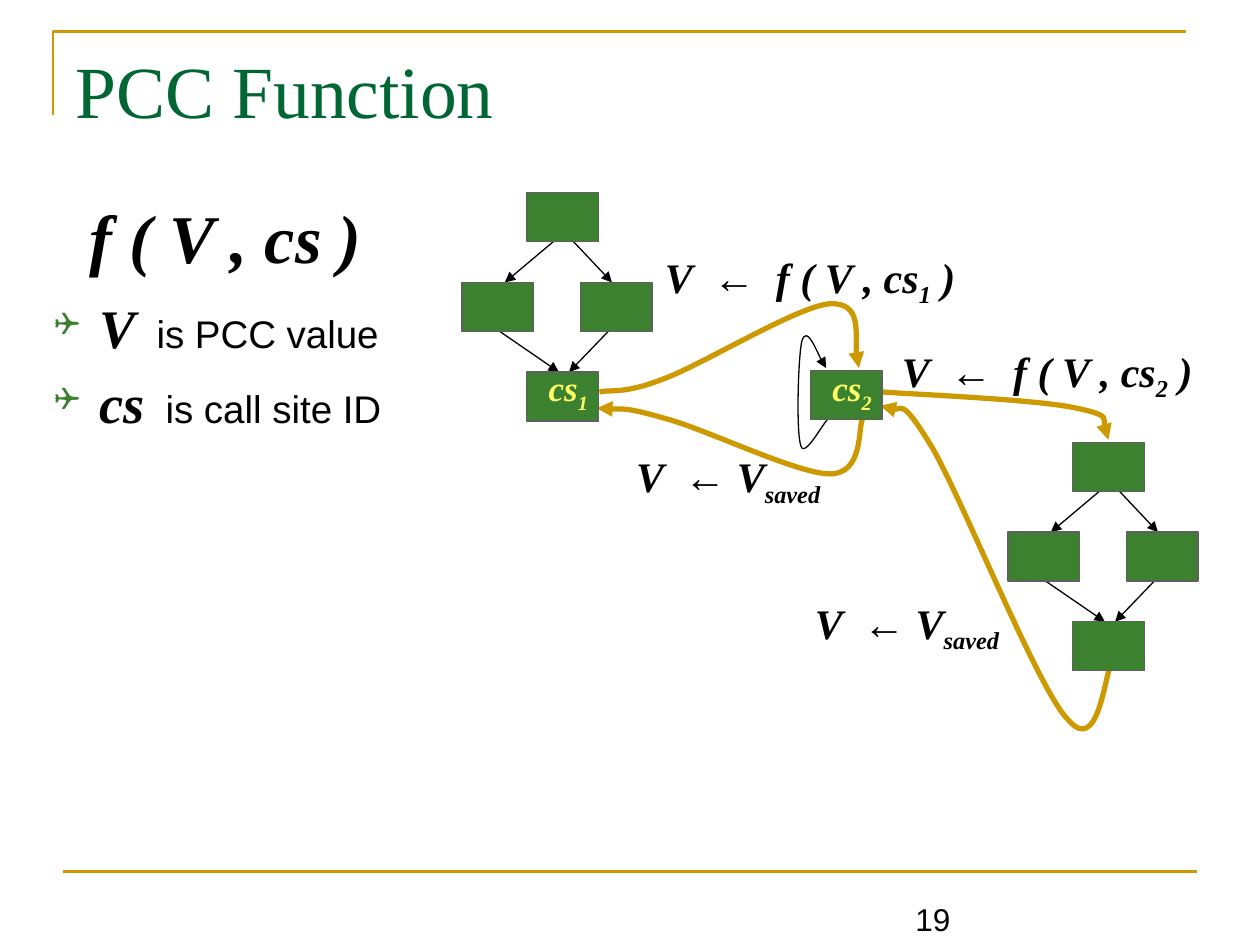
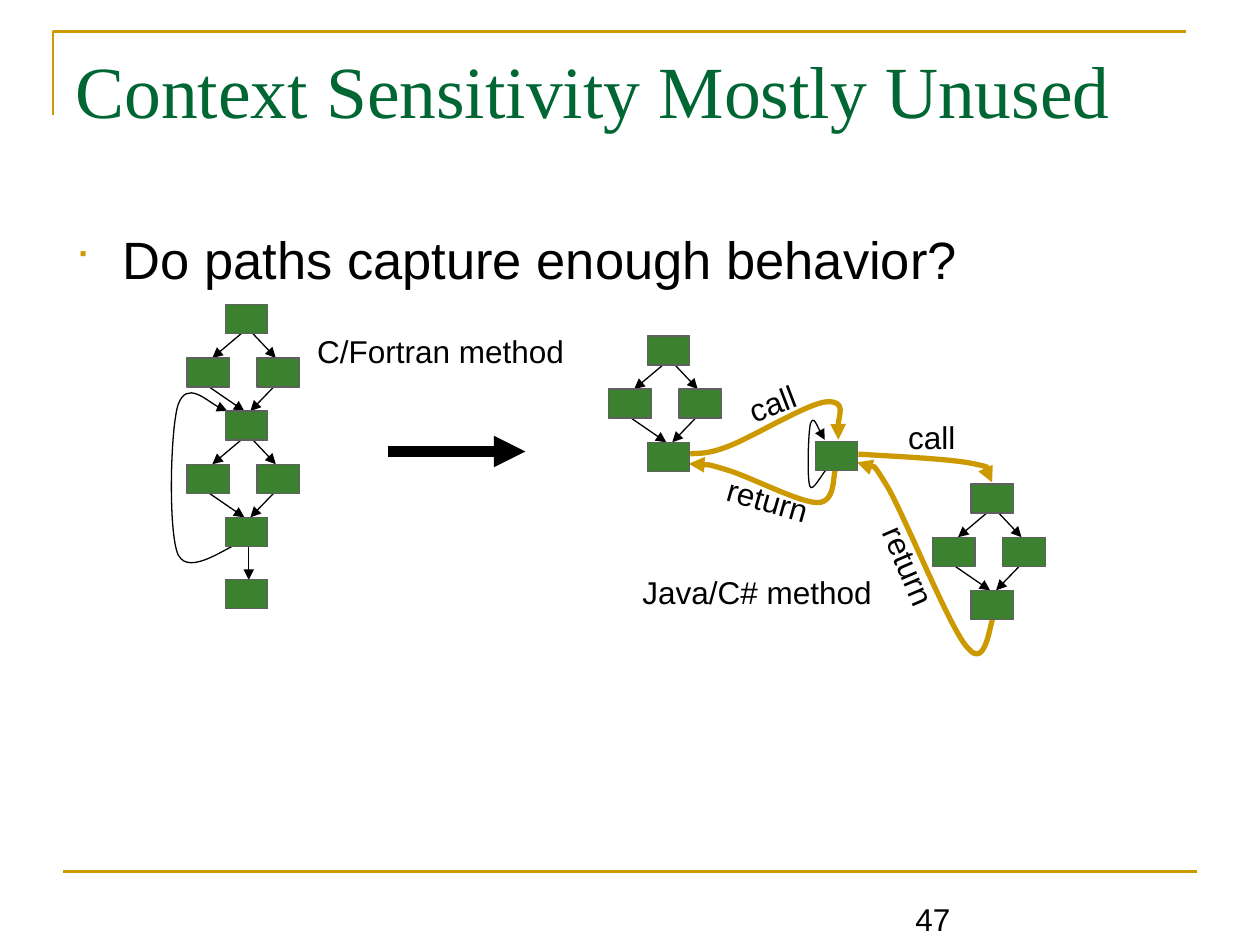
import dataclasses

import lxml.etree
import pptx
import pptx.dml.color
import pptx.enum.dml
import pptx.enum.shapes
import pptx.enum.text
import pptx.oxml.ns
import pptx.util

Pt = pptx.util.Pt
RGBColor = pptx.dml.color.RGBColor
qn = pptx.oxml.ns.qn

GOLD = RGBColor(0xCC, 0x99, 0x00)
TITLE_GREEN = RGBColor(0x00, 0x66, 0x33)
NODE_GREEN = RGBColor(0x3B, 0x81, 0x2F)
NODE_EDGE = RGBColor(0x5F, 0x5F, 0x5F)
YELLOW = RGBColor(0xFF, 0xFF, 0x66)
BLACK = RGBColor(0, 0, 0)
SERIF = "Times New Roman"
SANS = "Arial"

NODE_WIDTH, NODE_HEIGHT = 41, 28
DIAMOND_STEP = 102.4
DIAMOND_TOP = (37, 0)
DIAMOND_OTHERS = [(0, 51.2), (67.7, 51.2), (37, DIAMOND_STEP)]
DIAMOND_ARROWS = [
    ((55.4, 25.2), (24.5, 51.2)),
    ((61.2, 25.2), (85.7, 51.2)),
    ((18.4, 77), (55.4, DIAMOND_STEP)),
    ((85.7, 77), (61.2, DIAMOND_STEP)),
]
CALLEE = (312, 142.7)
CALL_SITE_2 = (199, 101.5)

FIRST_CALL = [
    (78.5, 113.8), (85, 112.3), (92.2, 115.2), (114.5, 106.6), (136.8, 98.6),
    (191.5, 64.8), (210.2, 63.4), (229, 62.6), (223.2, 92.2), (226.8, 100.1)]
FIRST_RETURN = [
    (229, 128.9), (226.1, 133.9), (229.7, 160.6), (210.2, 160.6), (191.5, 160.6),
    (138.2, 134.6), (115.9, 128.9), (93.6, 122.4), (85, 123.8), (77, 123.1)]
SELF_LOOP = [
    (209.5, 128.9), (206.6, 131), (195.8, 151.9), (193.7, 144.7), (190.8, 136.8),
    (192.2, 91.4), (194.4, 84.2), (197.3, 76.3), (205.2, 96.5), (208.1, 100.1)]
SECOND_CALL = [
    (240.5, 113.8), (258.5, 115.2), (329.8, 118.1), (351.4, 123.1),
    (372.2, 127.4), (365.8, 137.5), (369.4, 141.1)]
SECOND_RETURN = [
    (370.8, 270), (367.2, 275.8), (363.6, 321.8), (346.3, 301), (329.8, 285.1),
    (286.6, 176.4), (268.6, 145.4), (250.6, 115.9), (245.5, 126.7), (239, 121.7)]
METHOD_LOOP = [
    (51, 229.9), (41.4, 231), (2.4, 262.7), (-8.4, 240.9), (-18.2, 218.9),
    (-15.9, 119.3), (-8.4, 96.1), (0, 73), (29.2, 101), (38.9, 102.2)]


@dataclasses.dataclass(frozen=True)
class Frame:
    left: float
    top: float
    scale: float = 1

    def place(self, point):
        return (Pt(self.left + point[0] * self.scale),
                Pt(self.top + point[1] * self.scale))

    def inner(self, point):
        return Frame(self.left + point[0] * self.scale,
                     self.top + point[1] * self.scale, self.scale)


def style_line(shape, color, width, arrow=False):
    shape.line.color.rgb = color
    shape.line.width = Pt(width)
    if arrow:
        line = shape.line._get_or_add_ln()
        lxml.etree.SubElement(line, qn("a:tailEnd"), type="triangle")


def add_line(shapes, start, end, color, width, arrow=False):
    connector = shapes.add_connector(
        pptx.enum.shapes.MSO_CONNECTOR.STRAIGHT, *start, *end)
    style_line(connector, color, width, arrow)
    lxml.etree.SubElement(connector._element.spPr, qn("a:effectLst"))


def add_outline(shapes, points, color, width, arrow=False):
    builder = shapes.build_freeform(*points[0])
    builder.add_line_segments(points[1:], close=False)
    shape = builder.convert_to_shape()
    shape.shadow.inherit = False
    shape.fill.background()
    style_line(shape, color, width, arrow)
    return shape


def add_curve(shapes, frame, controls, color, width):
    points = [frame.place(point) for point in controls]
    shape = add_outline(shapes, points, color, width, arrow=True)
    segments = list(shape._element.iter(qn("a:lnTo")))
    for first in range(0, len(segments), 3):
        curve = lxml.etree.Element(qn("a:cubicBezTo"))
        segments[first].addprevious(curve)
        for segment in segments[first:first + 3]:
            curve.append(segment[0])
            segment.getparent().remove(segment)


def add_node(shapes, frame, position):
    shape = shapes.add_shape(
        pptx.enum.shapes.MSO_SHAPE.RECTANGLE, *frame.place(position),
        Pt(NODE_WIDTH * frame.scale), Pt(NODE_HEIGHT * frame.scale))
    shape.shadow.inherit = False
    shape.fill.solid()
    shape.fill.fore_color.rgb = NODE_GREEN
    style_line(shape, NODE_EDGE, 0.75)


def add_diamond(shapes, frame, with_top=True):
    for start, end in DIAMOND_ARROWS:
        add_line(shapes, frame.place(start), frame.place(end), BLACK, 0.75, arrow=True)
    for position in [DIAMOND_TOP] * with_top + DIAMOND_OTHERS:
        add_node(shapes, frame, position)


def add_call_graph(shapes, frame, landing_shift=0, return_stretch=1):
    first_call = FIRST_CALL[:-2] + [(x + landing_shift, y) for x, y in FIRST_CALL[-2:]]
    tip = FIRST_RETURN[-1][0]
    first_return = [(tip + (x - tip) * return_stretch, y) for x, y in FIRST_RETURN]
    add_curve(shapes, frame, SELF_LOOP, BLACK, 0.75)
    for controls in (first_return, SECOND_RETURN, SECOND_CALL, first_call):
        add_curve(shapes, frame, controls, GOLD, 3)
    add_diamond(shapes, frame)
    add_diamond(shapes, frame.inner(CALLEE))
    add_node(shapes, frame, CALL_SITE_2)


def add_method_graph(shapes, frame):
    add_curve(shapes, frame, METHOD_LOOP, BLACK, 0.75)
    add_line(shapes, frame.place((59.6, 229.9)), frame.place((59.6, 265)),
             BLACK, 0.75, arrow=True)
    add_diamond(shapes, frame.inner((0, DIAMOND_STEP)), with_top=False)
    add_diamond(shapes, frame)
    add_node(shapes, frame, (37, 265))


def add_run(paragraph, text, size, font=SANS, color=BLACK, emphasis=False, lowered=False):
    run = paragraph.add_run()
    run.text = text
    run.font.size = Pt(size)
    run.font.name = font
    run.font.color.rgb = color
    run.font.bold = run.font.italic = emphasis
    if lowered:
        run.font._element.set("baseline", "-25000")


def add_text_box(shapes, box, wrap=True):
    shape = shapes.add_textbox(*(Pt(length) for length in box))
    shape.text_frame.word_wrap = wrap
    if not wrap:
        shape.text_frame.auto_size = pptx.enum.text.MSO_AUTO_SIZE.SHAPE_TO_FIT_TEXT
    return shape


def add_label(shapes, box, text, rotation=0):
    shape = add_text_box(shapes, box, wrap=False)
    add_run(shape.text_frame.paragraphs[0], text, 18)
    shape.rotation = rotation


def add_formula(shapes, box, parts, size=24, color=BLACK):
    shape = add_text_box(shapes, box, wrap=False)
    for index, text in enumerate(parts):
        add_run(shape.text_frame.paragraphs[0], text, size, SERIF, color,
                emphasis=True, lowered=index == 1)


def set_bullet(paragraph, character, color, percent, margin, hanging):
    properties = paragraph._p.get_or_add_pPr()
    properties.set("marL", str(Pt(margin)))
    properties.set("indent", str(-Pt(hanging)))
    bullet_color = lxml.etree.SubElement(properties, qn("a:buClr"))
    lxml.etree.SubElement(bullet_color, qn("a:srgbClr"), val=str(color))
    lxml.etree.SubElement(properties, qn("a:buSzPct"), val=str(percent * 1000))
    lxml.etree.SubElement(properties, qn("a:buFont"), typeface="Wingdings", charset="2")
    lxml.etree.SubElement(properties, qn("a:buChar"), char=character)


def add_base_slide(presentation, title, number):
    slide = presentation.slides.add_slide(presentation.slide_layouts[6])
    shapes = slide.shapes
    corner = [(30.2, 66), (30.2, 18), (678, 18)]
    add_outline(shapes, [(Pt(x), Pt(y)) for x, y in corner], GOLD, 1.5)
    add_line(shapes, (Pt(36), Pt(498)), (Pt(684), Pt(498)), GOLD, 1.5)
    heading = add_text_box(shapes, (36, 22, 648, 90))
    add_run(heading.text_frame.paragraphs[0], title, 42, SERIF, TITLE_GREEN)
    footer = add_text_box(shapes, (516, 503.3, 168, 36))
    footer.text_frame.vertical_anchor = pptx.enum.text.MSO_ANCHOR.BOTTOM
    add_run(footer.text_frame.paragraphs[0], number, 18)
    return slide


def add_definitions(shapes, box):
    text_frame = add_text_box(shapes, box).text_frame
    entries = [("V", "  is PCC value"), ("cs", "  is call site ID")]
    for index, (symbol, meaning) in enumerate(entries):
        paragraph = text_frame.add_paragraph() if index else text_frame.paragraphs[0]
        paragraph.space_before = Pt(5.5)
        set_bullet(paragraph, "❑", NODE_GREEN, 60, 43.75, 25.75)
        add_run(paragraph, symbol, 31, SERIF, emphasis=True)
        add_run(paragraph, meaning, 22)


def add_function_slide(presentation):
    shapes = add_base_slide(presentation, "PCC Function", "19").shapes
    signature = add_text_box(shapes, (44.3, 108, 639.7, 356.4))
    paragraph = signature.text_frame.paragraphs[0]
    paragraph.space_before = Pt(9.8)
    add_run(paragraph, "f ( V , cs )", 39, SERIF, emphasis=True)
    add_definitions(shapes, (5.8, 164.5, 270, 87.1))
    add_call_graph(shapes, Frame(264, 110.2))
    for left, top, site in ((372.8, 140, "1"), (508.3, 193.7, "2")):
        add_formula(shapes, (left, top, 181.4, 40.3), ["V  ←  f ( V , cs", site, " )"])
    for left, top in ((356.4, 254), (458.6, 337.7)):
        add_formula(shapes, (left, top, 120.2, 40.3), ["V  ← V", "saved"])
    for left, site in ((306.4, "1"), (468.5, "2")):
        add_formula(shapes, (left, 205.9, 36.7, 34.6), ["cs", site], 20, YELLOW)


def add_context_slide(presentation):
    shapes = add_base_slide(presentation, "Context Sensitivity Mostly Unused", "47").shapes
    question = add_text_box(shapes, (36, 126, 648, 356.4))
    paragraph = question.text_frame.paragraphs[0]
    paragraph.space_before = Pt(7.5)
    set_bullet(paragraph, "■", GOLD, 65, 27, 27)
    add_run(paragraph, "Do paths capture enough behavior?", 30)
    add_method_graph(shapes.add_group_shape().shapes, Frame(106.8, 174.2, 0.593))
    add_line(shapes, (Pt(222), Pt(258)), (Pt(300.2), Pt(258)), BLACK, 6, arrow=True)
    add_label(shapes, (174.2, 186, 155.5, 28.8), "C/Fortran method")
    add_label(shapes, (360, 324, 145.4, 28.8), "Java/C# method")
    calls = shapes.add_group_shape().shapes
    add_call_graph(calls, Frame(347.9, 192, 0.593), landing_shift=-5.5, return_stretch=0.93)
    add_label(calls, (408.2, 271.4, 61.2, 28.8), "return", 15.9)
    add_label(calls, (511.9, 235.4, 43, 28.8), "call")
    add_label(calls, (420.5, 215.6, 43, 28.8), "call", 338.9)
    add_label(calls, (488.9, 308.9, 61.2, 28.8), "return", 66.8)


def main():
    presentation = pptx.Presentation()
    presentation.slide_width = Pt(720)
    presentation.slide_height = Pt(540)
    add_function_slide(presentation)
    add_context_slide(presentation)
    presentation.save("out.pptx")


if __name__ == "__main__":
    main()
